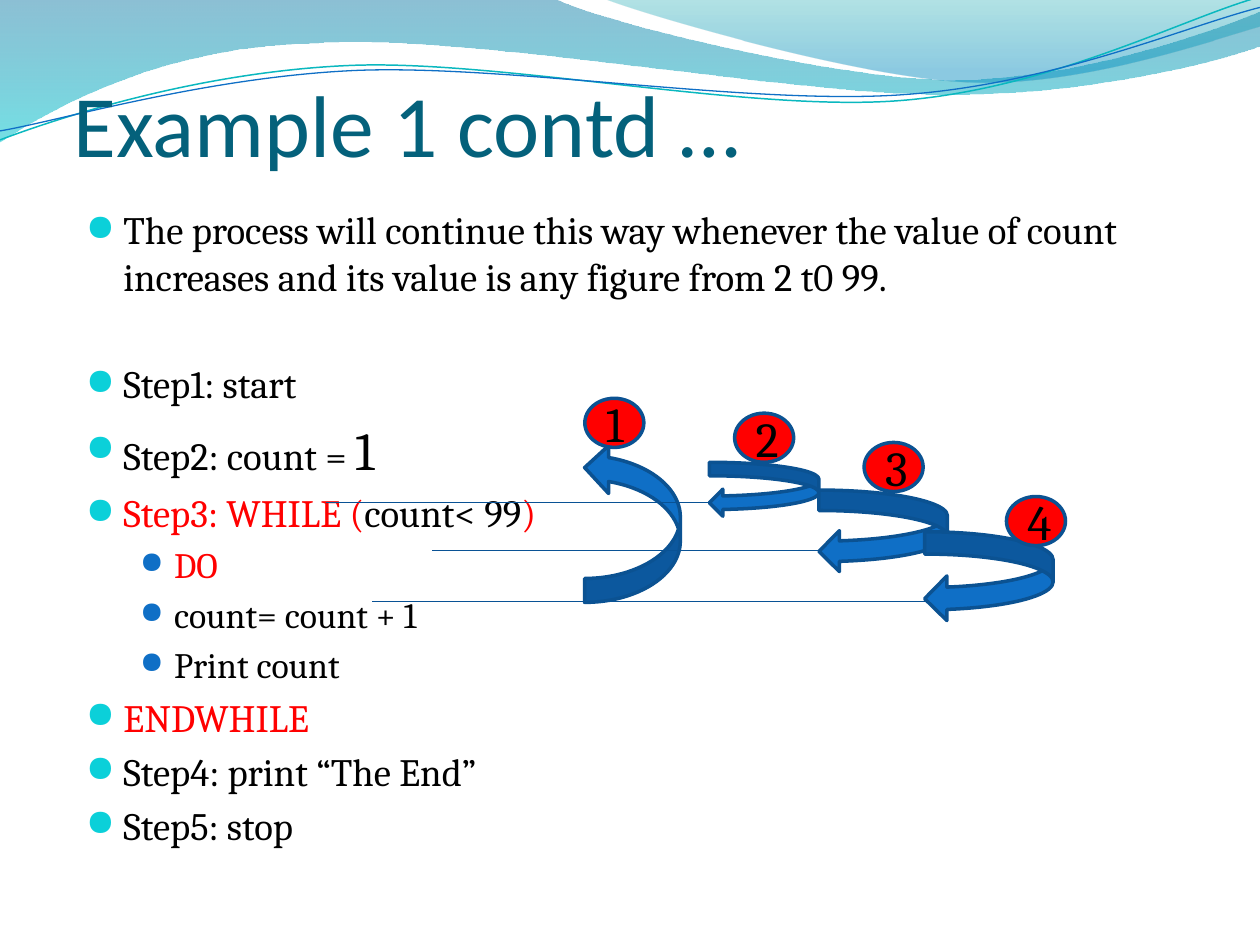
import math
from collections import namedtuple

from lxml import etree
from pptx import Presentation
from pptx.dml.color import RGBColor
from pptx.enum import shapes, text
from pptx.oxml import parse_xml
from pptx.oxml.ns import nsdecls, qn
from pptx.util import Cm, Pt

BLACK = RGBColor(0x00, 0x00, 0x00)
RED = RGBColor(0xFF, 0x00, 0x00)
TITLE_TEAL = RGBColor(0x04, 0x61, 0x7B)
BLUE = RGBColor(0x0F, 0x6F, 0xC6)
EDGE_BLUE = RGBColor(0x0B, 0x52, 0x92)
LINE_BLUE = RGBColor(0x09, 0x52, 0x95)
TURQUOISE = RGBColor(0x0B, 0xD0, 0xD9)
WAVE_TEAL = RGBColor(0x0A, 0xB8, 0xBF)

Box = namedtuple("Box", "left top width height")
Level = namedtuple("Level", "size margin indent bullet bullet_size")
LEVELS = [Level(22.1, 0.76, 0.76, TURQUOISE, 95),
          Level(20.4, 1.78, 0.69, BLUE, 85)]

# Wave outlines in cm: a pair is a straight step, six numbers are a Bezier step
WIDE_BAND = [(0, 0), (11.18, -0.03), (12.09, 0.43, 16.87, 1.6, 19.25, 1.6),
             (21.67, 1.6, 24.33, 0.66, 25.4, 0.23), (25.43, 0.91),
             (24.97, 1.12, 22.1, 1.93, 18.95, 1.9),
             (15.8, 1.9, 9.7, 0.71, 6.53, 0.86),
             (3.28, 0.91, 1.17, 2.11, -0.03, 2.87), (0, 0)]
RIGHT_BAND = [(12.17, -0.03), (12.93, 0.28, 17.32, 1.57, 19.53, 1.65),
              (21.74, 1.75, 24.41, 0.81, 25.4, 0.53), (25.4, 0), (12.17, -0.03)]
TEAL_CURVE = [(0, 2.82), (1.22, 2.36, 4.01, 1.45, 7.04, 1.32),
              (10.03, 1.19, 15.06, 2.26, 18.11, 2.03),
              (21.16, 1.8, 23.83, 0.38, 25.35, -0.05)]
BLUE_CURVE = [(0, 2.64), (1.19, 2.44, 4.17, 1.55, 7.19, 1.42),
              (10.24, 1.3, 15.16, 2.13, 18.21, 1.91),
              (21.23, 1.7, 23.9, 0.53, 25.4, 0.15)]
CURVE_TILT = -2.7

# Level, space before in points, and (words, colour, size or None) runs
STEPS = [
    (0, 4.4, [("The process will continue this way whenever the value of count "
               "increases and its value is any figure from 2 t0 99.", BLACK, None)]),
    (0, 35, [("Step1: start", BLACK, None)]),
    (0, 6.1, [("Step2: count = ", BLACK, None), ("1", BLACK, 30.6)]),
    (0, 4.4, [("Step3: WHILE (", RED, None), ("count< 99", BLACK, None), (")", RED, None)]),
    (1, 4.1, [("DO", RED, None)]),
    (1, 4.1, [("count= count + 1", BLACK, None)]),
    (1, 4.1, [("Print count", BLACK, None)]),
    (0, 4.4, [("ENDWHILE", RED, None)]),
    (0, 4.4, [("Step4: print “The End”", BLACK, None)]),
    (0, 4.4, [("Step5: stop", BLACK, None)]),
]

# Relative to the diagram box, in cm
LOOP_ARROWS = [Box(7.8, 1.32, 2.21, 1.09), Box(10.01, 1.88, 2.59, 1.65),
               Box(12.14, 2.72, 2.59, 1.8)]
POINTER_ENDS = [(0.08, 2.13), (2.21, 3.1), (0.99, 4.12)]
BADGES = [(5.29, 0.03), (8.31, 0.33), (10.92, 0.92), (13.79, 2.01)]


def place(box):
    return [Cm(length) for length in box]


def set_font(font, name, size, color):
    font.name, font.size = name, Pt(size)
    font.color.rgb = color


def turn(point, centre, degrees):
    angle = math.radians(degrees)
    x, y = point[0] - centre[0], point[1] - centre[1]
    return (centre[0] + x * math.cos(angle) - y * math.sin(angle),
            centre[1] + x * math.sin(angle) + y * math.cos(angle))


def add_outline(slide, box, outline, close, tilt=0, centre=(0, 0)):
    """Draw an outline with true Bezier steps; a tilted one is stored level."""
    steps = [[turn(step[i:i + 2], centre, -tilt) for i in range(0, len(step), 2)]
             for step in outline]
    points = [(Cm(box.left + x), Cm(box.top + y)) for step in steps for x, y in step]
    builder = slide.shapes.build_freeform(*points[0])
    builder.add_line_segments(points[1:], close=close)
    shape = builder.convert_to_shape()
    shape.shadow.inherit = False
    shape.rotation = tilt
    # Join each group of three segments into one Bezier step
    segments = iter(list(shape.element.iter(qn("a:lnTo"))))
    for step in steps[1:]:
        group = [next(segments) for _ in step]
        if len(group) == 3:
            bezier = etree.Element(qn("a:cubicBezTo"))
            group[0].addprevious(bezier)
            for segment in group:
                bezier.append(segment[0])
                segment.getparent().remove(segment)
    return shape


def add_waves(slide, box):
    # Translucent bands: stops are position, colour, opacity in percent
    for outline, stops in [(WIDE_BAND, [(0, "0074A1", 45), (100, "00C6CF", 55)]),
                           (RIGHT_BAND, [(0, "00A1A9", 30), (80, "008BBF", 45)])]:
        band = add_outline(slide, box, outline, True)
        band.line.fill.background()
        stop_xml = "".join(
            f'<a:gs pos="{pos * 1000}"><a:srgbClr val="{color}">'
            f'<a:alpha val="{alpha * 1000}"/></a:srgbClr></a:gs>'
            for pos, color, alpha in stops)
        band.element.spPr.find(qn("a:custGeom")).addnext(parse_xml(
            f'<a:gradFill {nsdecls("a")}><a:gsLst>{stop_xml}</a:gsLst>'
            '<a:lin ang="5400000" scaled="0"/></a:gradFill>'))
    # Thin tilted curves
    for outline, color, width, centre in [(TEAL_CURVE, WAVE_TEAL, 0.85, (12.67, 1.46)),
                                          (BLUE_CURVE, BLUE, 0.75, (12.69, 1.5))]:
        curve = add_outline(slide, box, outline, False, CURVE_TILT, centre)
        curve.fill.background()
        curve.line.color.rgb, curve.line.width = color, Pt(width)


def add_title(slide, box):
    frame = slide.shapes.add_textbox(*place(box)).text_frame
    frame.word_wrap = True
    frame.vertical_anchor = text.MSO_ANCHOR.BOTTOM
    frame.margin_left = frame.margin_right = frame.margin_bottom = 0
    frame.text = "Example 1 contd …"
    set_font(frame.paragraphs[0].runs[0].font, "Calibri", 50, TITLE_TEAL)


def add_bullet(para, level):
    props = para._p.get_or_add_pPr()
    props.set("marL", str(Cm(level.margin)))
    props.set("indent", str(-Cm(level.indent)))
    color = etree.SubElement(props, qn("a:buClr"))
    etree.SubElement(color, qn("a:srgbClr"), val=str(level.bullet))
    etree.SubElement(props, qn("a:buSzPct"), val=str(level.bullet_size * 1000))
    etree.SubElement(props, qn("a:buFont"), typeface="OpenSymbol")
    etree.SubElement(props, qn("a:buChar"), char="●")


def add_steps(slide, box):
    frame = slide.shapes.add_textbox(*place(box)).text_frame
    frame.word_wrap = True
    for i, (depth, space, spans) in enumerate(STEPS):
        para = frame.add_paragraph() if i else frame.paragraphs[0]
        level = LEVELS[depth]
        para.level = depth
        para.space_before = Pt(space)
        add_bullet(para, level)
        for words, color, size in spans:
            span = para.add_run()
            span.text = words
            set_font(span.font, "Cambria", size or level.size, color)


def add_preset(slide, box, kind, fill):
    shape = slide.shapes.add_shape(kind, *place(box))
    shape.shadow.inherit = False
    shape.fill.solid()
    shape.fill.fore_color.rgb = fill
    shape.line.color.rgb, shape.line.width = EDGE_BLUE, Pt(2)
    return shape


def add_loop_diagram(slide, box):
    def within(left, top, width, height):
        return Box(box.left + left, box.top + top, width, height)

    # Return arrow, then the loop arrows
    kinds = shapes.MSO_SHAPE
    back = add_preset(slide, within(4.65, 1.58, 3.2, 1.93), kinds.CURVED_DOWN_ARROW, BLUE)
    back.rotation = 270
    back.element.spPr.xfrm.set("flipV", "1")
    for arrow in LOOP_ARROWS:
        add_preset(slide, within(*arrow), kinds.CURVED_LEFT_ARROW, BLUE)
    # Number badges
    for number, (left, top) in enumerate(BADGES, 1):
        badge = add_preset(slide, within(left, top, 1.19, 0.99),
                           kinds.FLOWCHART_CONNECTOR, RED)
        frame = badge.text_frame
        frame.text = str(number)
        frame.vertical_anchor = text.MSO_ANCHOR.MIDDLE
        frame.paragraphs[0].alignment = text.PP_ALIGN.CENTER
        set_font(frame.paragraphs[0].runs[0].font, "Cambria", 28, BLACK)
    # Lines from the arrow tips to the steps, lowest first
    for arrow, (end, height) in reversed(list(zip(LOOP_ARROWS, POINTER_ENDS))):
        y = Cm(box.top + height)
        pointer = slide.shapes.add_connector(
            shapes.MSO_CONNECTOR.STRAIGHT, Cm(box.left + arrow.left), y, Cm(box.left + end), y)
        pointer.line.color.rgb, pointer.line.width = LINE_BLUE, Pt(0.75)
        etree.SubElement(pointer.element.spPr, qn("a:effectLst"))


def main():
    deck = Presentation()
    deck.slide_width, deck.slide_height = Cm(25.4), Cm(19.05)
    slide = deck.slides.add_slide(deck.slide_layouts[6])
    add_waves(slide, Box(0, 0, 25.4, 2.87))
    add_title(slide, Box(1.48, 1.13, 22.86, 2.39))
    add_steps(slide, Box(1.48, 4.03, 22.86, 12.19))
    add_loop_diagram(slide, Box(6.5, 8, 15, 4.6))
    deck.save("out.pptx")


if __name__ == "__main__":
    main()
